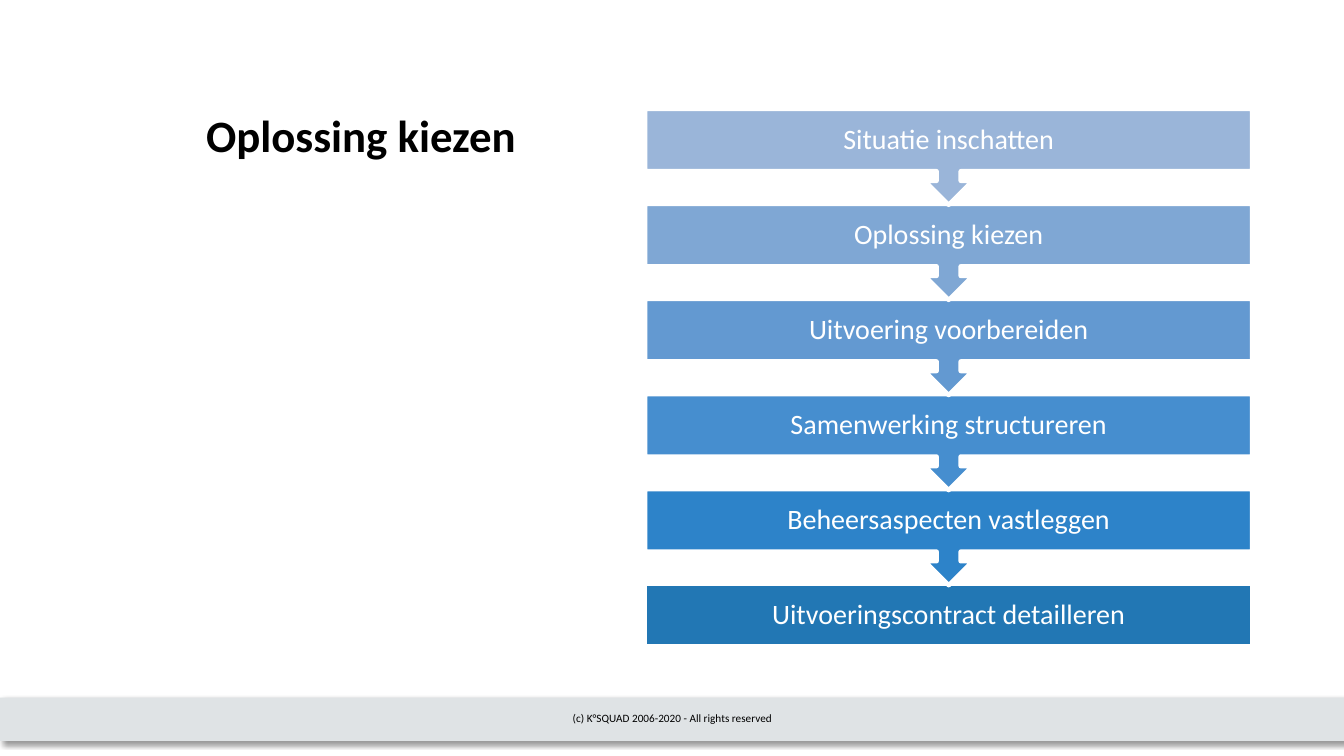
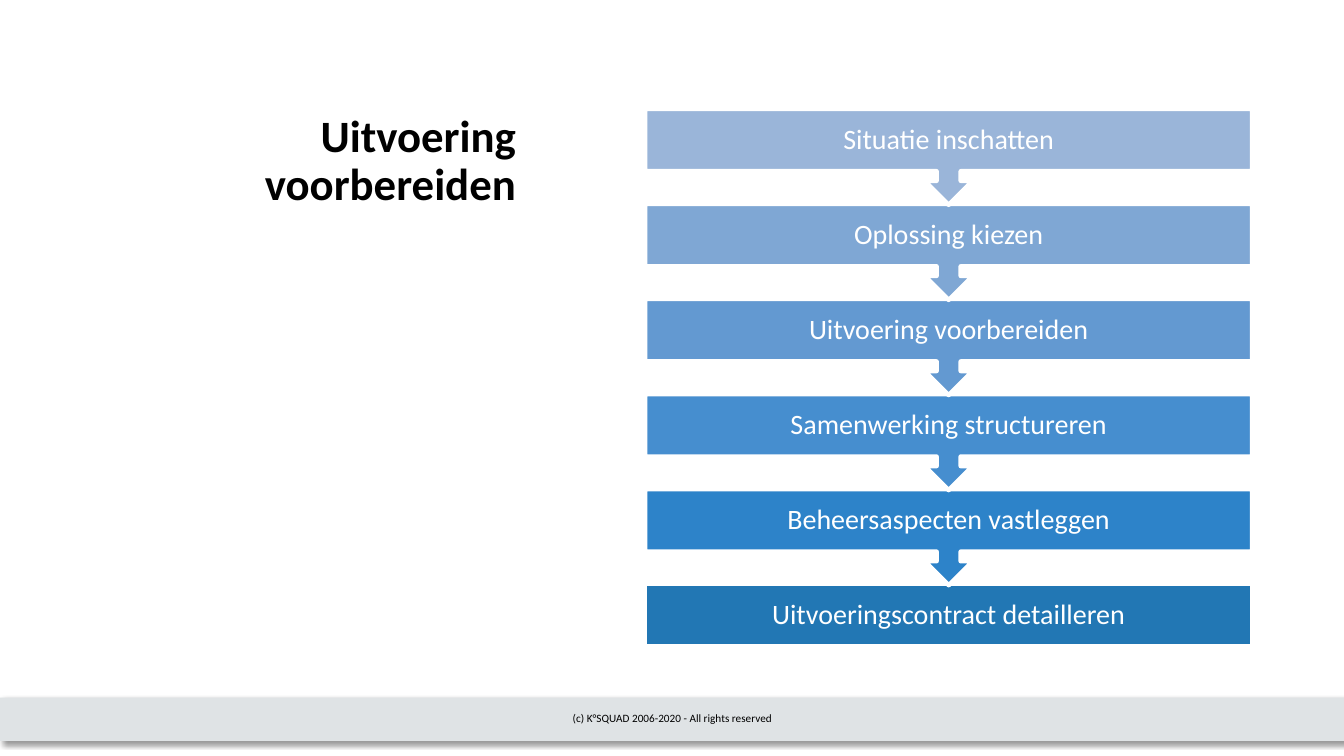
import dataclasses

import lxml.etree
import pptx
import pptx.dml.color
import pptx.enum.shapes
import pptx.enum.text
import pptx.oxml.ns
import pptx.util

SHAPES = pptx.enum.shapes.MSO_SHAPE
ALIGN = pptx.enum.text.PP_ALIGN
ANCHOR = pptx.enum.text.MSO_ANCHOR


@dataclasses.dataclass(frozen=True)
class Theme:
    font: str = "Calibri"
    ink: str = "000000"
    paper: str = "FFFFFF"
    band: str = "DFE3E5"
    steps: tuple = ("9AB5D9", "7FA7D4", "6399D1", "468ECF", "2D83C9", "2277B4")
    title_size: float = 32
    step_size: float = 20
    footer_size: float = 8
    outline: float = 3.15
    line_spacing: float = 0.9


@dataclasses.dataclass(frozen=True)
class Box:
    """A region in percentages of the slide's width and height."""
    left: float
    top: float
    width: float
    height: float

    def emu(self):
        return (int(self.left * SLIDE_WIDTH / 100), int(self.top * SLIDE_HEIGHT / 100),
                int(self.width * SLIDE_WIDTH / 100), int(self.height * SLIDE_HEIGHT / 100))


THEME = Theme()
SLIDE_WIDTH = pptx.util.Inches(13.33)
SLIDE_HEIGHT = pptx.util.Inches(7.5)

TITLE_BOX = Box(6.9, 14.4, 32.25, 15.6)
FLOW_BOX = Box(48.01, 14.4, 45.16, 71.07)
BAND_BOX = Box(0, 92.27, 100, 5.73)
COPYRIGHT_BOX = Box(33.16, 92.27, 33.76, 5.33)

BAR_SHARE = 0.65       # bar height within one step of the flow
CALLOUT_SHARE = 1.01   # the arrow tip just reaches into the next bar

STEPS = ("Situatie inschatten", "Oplossing kiezen", "Uitvoering voorbereiden",
         "Samenwerking structureren", "Beheersaspecten vastleggen",
         "Uitvoeringscontract detailleren")
TITLES = ("Oplossing kiezen", "Uitvoering voorbereiden")
COPYRIGHT = "(c) K°SQUAD 2006-2020 - All rights reserved"


def rgb(colour):
    return pptx.dml.color.RGBColor.from_string(colour)


def write(shape, text, *, size, colour=THEME.ink, bold=False, align=ALIGN.CENTER,
          anchor=ANCHOR.MIDDLE, spacing=None, inset=None):
    frame = shape.text_frame
    frame.word_wrap = True
    frame.vertical_anchor = anchor
    if inset is not None:
        frame.margin_left = frame.margin_right = pptx.util.Inches(inset)
        frame.margin_top = frame.margin_bottom = pptx.util.Inches(inset)
    paragraph = frame.paragraphs[0]
    paragraph.alignment = align
    paragraph.line_spacing = spacing
    run = paragraph.add_run()
    run.text = text
    run.font.name = THEME.font
    run.font.size = pptx.util.Pt(size)
    run.font.bold = bold
    run.font.color.rgb = rgb(colour)


def add_filled(slide, preset, box, fill, outline=None):
    shape = slide.shapes.add_shape(preset, *box.emu())
    shape.shadow.inherit = False
    shape.fill.solid()
    shape.fill.fore_color.rgb = rgb(fill)
    if outline:
        shape.line.color.rgb = rgb(outline)
        shape.line.width = pptx.util.Pt(THEME.outline)
    else:
        shape.line.fill.background()
    return shape


def cast_shadow(shape, blur=4, distance=3, angle=45, opacity=40):
    qn = pptx.oxml.ns.qn
    effects = shape.element.spPr.find(qn("a:effectLst"))
    shadow = lxml.etree.SubElement(
        effects, qn("a:outerShdw"), blurRad=str(pptx.util.Pt(blur)),
        dist=str(pptx.util.Pt(distance)), dir=str(angle * 60000),
        algn="tl", rotWithShape="0")
    colour = lxml.etree.SubElement(shadow, qn("a:srgbClr"), val=THEME.ink)
    lxml.etree.SubElement(colour, qn("a:alpha"), val=str(opacity * 1000))


def add_band(slide, box):
    cast_shadow(add_filled(slide, SHAPES.RECTANGLE, box, THEME.band))


def add_title(slide, box, title):
    write(slide.shapes.add_textbox(*box.emu()), title, size=THEME.title_size, bold=True,
          align=ALIGN.RIGHT, anchor=ANCHOR.TOP, spacing=THEME.line_spacing)


def add_flow(slide, box, steps):
    """Stack the steps from the last up, so each arrow tip overlaps the bar below it."""
    last = len(steps) - 1
    pitch = box.height / (last + BAR_SHARE)
    for index, step in reversed(list(enumerate(steps))):
        preset, share = ((SHAPES.RECTANGLE, BAR_SHARE) if index == last
                         else (SHAPES.DOWN_ARROW_CALLOUT, CALLOUT_SHARE))
        step_box = Box(box.left, box.top + index * pitch, box.width, share * pitch)
        bar = add_filled(slide, preset, step_box, THEME.steps[index], THEME.paper)
        write(bar, step, size=THEME.step_size, colour=THEME.paper,
              spacing=THEME.line_spacing, inset=0.16)


def add_copyright(slide, box):
    write(slide.shapes.add_textbox(*box.emu()), COPYRIGHT, size=THEME.footer_size)


def add_step_slide(deck, title):
    slide = deck.slides.add_slide(deck.slide_layouts[6])
    add_band(slide, BAND_BOX)
    add_title(slide, TITLE_BOX, title)
    add_flow(slide, FLOW_BOX, STEPS)
    add_copyright(slide, COPYRIGHT_BOX)


def main():
    deck = pptx.Presentation()
    deck.slide_width = SLIDE_WIDTH
    deck.slide_height = SLIDE_HEIGHT
    for title in TITLES:
        add_step_slide(deck, title)
    deck.save("out.pptx")


if __name__ == "__main__":
    main()
